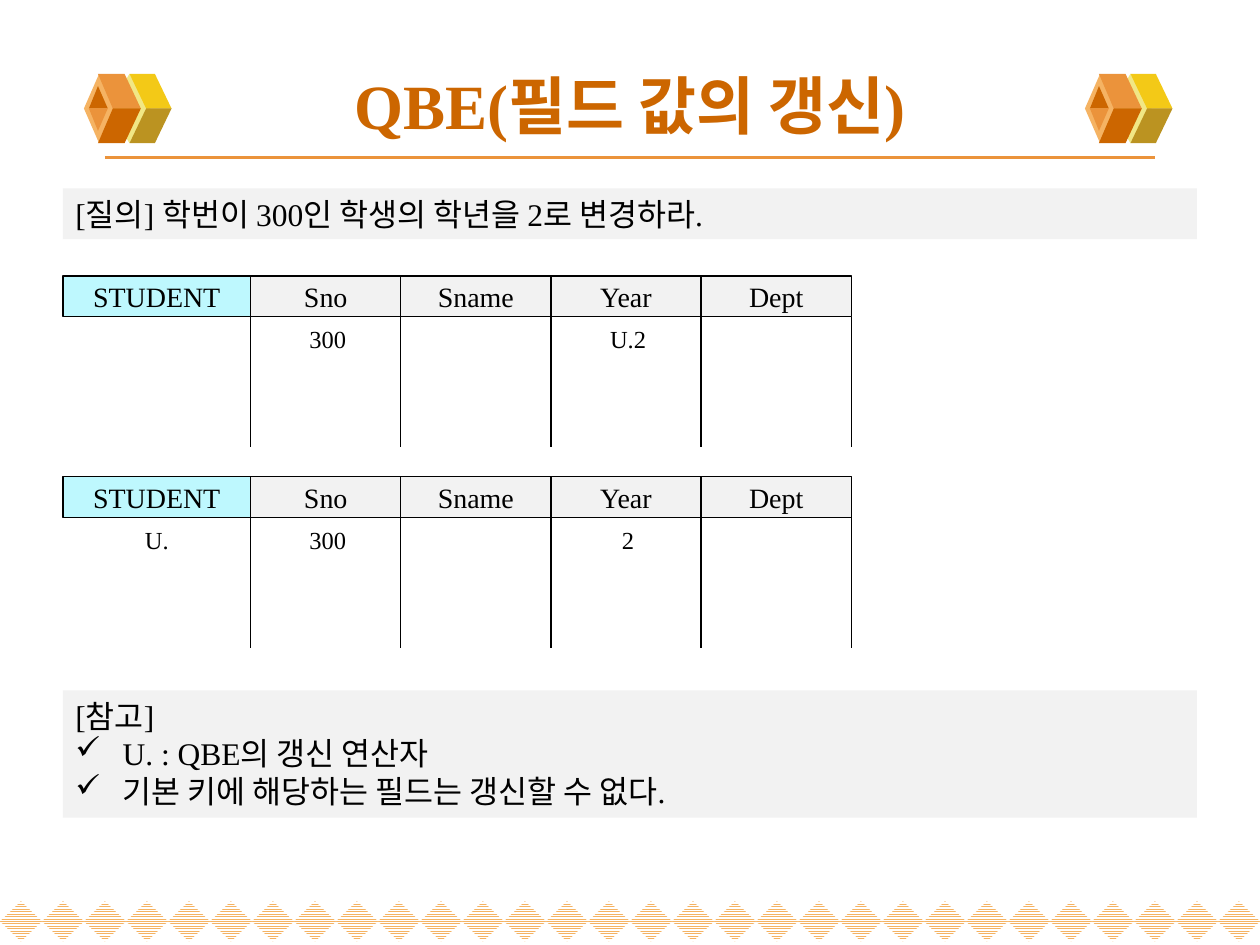
from lxml import etree
from pptx import Presentation
from pptx.dml.color import RGBColor
from pptx.enum.dml import MSO_PATTERN
from pptx.enum.shapes import MSO_CONNECTOR, MSO_SHAPE
from pptx.enum.text import MSO_ANCHOR, PP_ALIGN
from pptx.oxml.ns import qn
from pptx.util import Pt

RECTANGLE, DIAMOND = MSO_SHAPE.RECTANGLE, MSO_SHAPE.DIAMOND
STRAIGHT = MSO_CONNECTOR.STRAIGHT
STRIPES = MSO_PATTERN.NARROW_HORIZONTAL
LEFT, CENTER = PP_ALIGN.LEFT, PP_ALIGN.CENTER
TOP, MIDDLE = MSO_ANCHOR.TOP, MSO_ANCHOR.MIDDLE

FONT = "Times New Roman"
BLACK, WHITE, GRAY, CYAN = "000000", "FFFFFF", "F2F2F2", "BEF8FE"
RUST, ORANGE, PEACH = "CC6600", "EB933B", "F5B363"
CREAM, YELLOW, OLIVE = "F1E785", "F3C917", "BB9321"

COLUMNS = [("STUDENT", 107.2), ("Sno", 85.8), ("Sname", 85.8), ("Year", 85.8), ("Dept", 85.8)]


def color(value):
    return RGBColor.from_string(value)


def paint(shape, fill, line=None):
    shape.shadow.inherit = False
    shape.fill.solid()
    shape.fill.fore_color.rgb = color(fill)
    if line:
        shape.line.color.rgb = color(line)
        shape.line.width = Pt(0.75)
    else:
        shape.line.fill.background()


def add_block(slide, kind, left, top, width, height, fill, line=None):
    shape = slide.shapes.add_shape(kind, Pt(left), Pt(top), Pt(width), Pt(height))
    paint(shape, fill, line)
    return shape


def add_polygon(slide, points, fill):
    corners = [(Pt(x), Pt(y)) for x, y in points]
    builder = slide.shapes.build_freeform(*corners[0])
    builder.add_line_segments(corners[1:], close=True)
    paint(builder.convert_to_shape(), fill)


def add_line(slide, x1, y1, x2, y2, line=BLACK, width=0.75):
    connector = slide.shapes.add_connector(STRAIGHT, Pt(x1), Pt(y1), Pt(x2), Pt(y2))
    connector.line.color.rgb = color(line)
    connector.line.width = Pt(width)
    etree.SubElement(connector._element.spPr, qn("a:effectLst"))


def write(shape, text, size=18, fill=BLACK, bold=False, align=LEFT, anchor=TOP, check_from=None):
    """Write one paragraph per line; lines from check_from on get a check mark."""
    frame = shape.text_frame
    frame.word_wrap = True
    frame.vertical_anchor = anchor
    for index, line in enumerate(text.split("\n")):
        paragraph = frame.add_paragraph() if index else frame.paragraphs[0]
        paragraph.alignment = align
        run = paragraph.add_run()
        run.text = line
        run.font.name, run.font.size, run.font.bold = FONT, Pt(size), bold
        run.font.color.rgb = color(fill)
        if check_from is not None and index >= check_from:
            properties = paragraph._p.get_or_add_pPr()
            properties.set("marL", str(Pt(27)))
            properties.set("indent", str(Pt(-27)))
            etree.SubElement(properties, qn("a:buChar")).set("char", "✓")


def add_label(slide, left, top, width, height, text, **style):
    box = slide.shapes.add_textbox(Pt(left), Pt(top), Pt(width), Pt(height))
    write(box, text, **style)


def add_diamond_border(slide, left, top, width, height, count=30):
    step = width / count
    for index in range(count):
        diamond = add_block(slide, DIAMOND, left + index * step, top, step, height, WHITE)
        diamond.fill.patterned()
        diamond.fill.pattern = STRIPES
        diamond.fill.fore_color.rgb = color(PEACH)
        diamond.fill.back_color.rgb = color(WHITE)


def add_cube_icon(slide, left, top, height):
    middle = height / 2

    def add_mirrored(points, upper, lower):
        add_polygon(slide, [(left + x, top + y) for x, y in points], upper)
        add_polygon(slide, [(left + x, top + height - y) for x, y in points], lower)

    # Right half, left half, then the small opening
    add_block(slide, DIAMOND, left + 14, top, 24, height, CREAM)
    add_mirrored([(35.5, middle), (50, middle), (40.5, 0), (26, 0)], YELLOW, OLIVE)
    add_block(slide, DIAMOND, left, top, 17.3, height, PEACH)
    add_mirrored([(16.5, middle), (32.5, middle), (23.2, 0), (8, 0)], ORANGE, RUST)
    add_mirrored([(8, 7), (2.8, middle), (13.6, middle)], RUST, ORANGE)


def add_heading(slide, left, top, width, height, text):
    add_line(slide, left + 24, top + height, left + width - 24, top + height, ORANGE, 2.25)
    for icon_left in (left + 12, left + width - 64):
        add_cube_icon(slide, icon_left, top + 13.2, 39.6)
    add_label(slide, left, top, width, height, text, size=36, fill=RUST,
              bold=True, align=CENTER, anchor=MIDDLE)


def add_panel(slide, left, top, width, height, text, **style):
    write(add_block(slide, RECTANGLE, left, top, width, height, GRAY), text, **style)


def add_skeleton_table(slide, left, top, height, values):
    header_height = 23.2
    for index, (name, width) in enumerate(COLUMNS):
        header = add_block(slide, RECTANGLE, left, top, width, header_height,
                           GRAY if index else CYAN, BLACK)
        write(header, name, size=16, align=CENTER, anchor=MIDDLE)
        if name in values:
            label_left = left + (width - 79) / 2 + (1.2 if index else 0)
            add_label(slide, label_left, top + header_height + 0.8, 79, 24.2,
                      values[name], size=14, align=CENTER)
        left += width
        add_line(slide, left, top + header_height, left, top + height)


def main():
    presentation = Presentation()
    presentation.slide_width, presentation.slide_height = Pt(720), Pt(540)
    slide = presentation.slides.add_slide(presentation.slide_layouts[6])

    # Decoration and title
    add_diamond_border(slide, 0, 515, 720, 23)
    add_heading(slide, 36, 29, 648, 61, "QBE(필드 값의 갱신)")

    # Query and its two skeleton tables
    add_panel(slide, 36, 107.7, 648, 29, "[질의] 학번이 300인 학생의 학년을 2로 변경하라.")
    add_skeleton_table(slide, 36, 157.7, 97.8, {"Sno": "300", "Year": "U.2"})
    add_skeleton_table(slide, 36, 272.4, 97.8, {"STUDENT": "U.", "Sno": "300", "Year": "2"})

    # Notes on the operator
    add_panel(slide, 36, 394.5, 648, 72.7,
              "[참고]\nU. : QBE의 갱신 연산자\n기본 키에 해당하는 필드는 갱신할 수 없다.", check_from=1)

    presentation.save("out.pptx")


if __name__ == "__main__":
    main()
